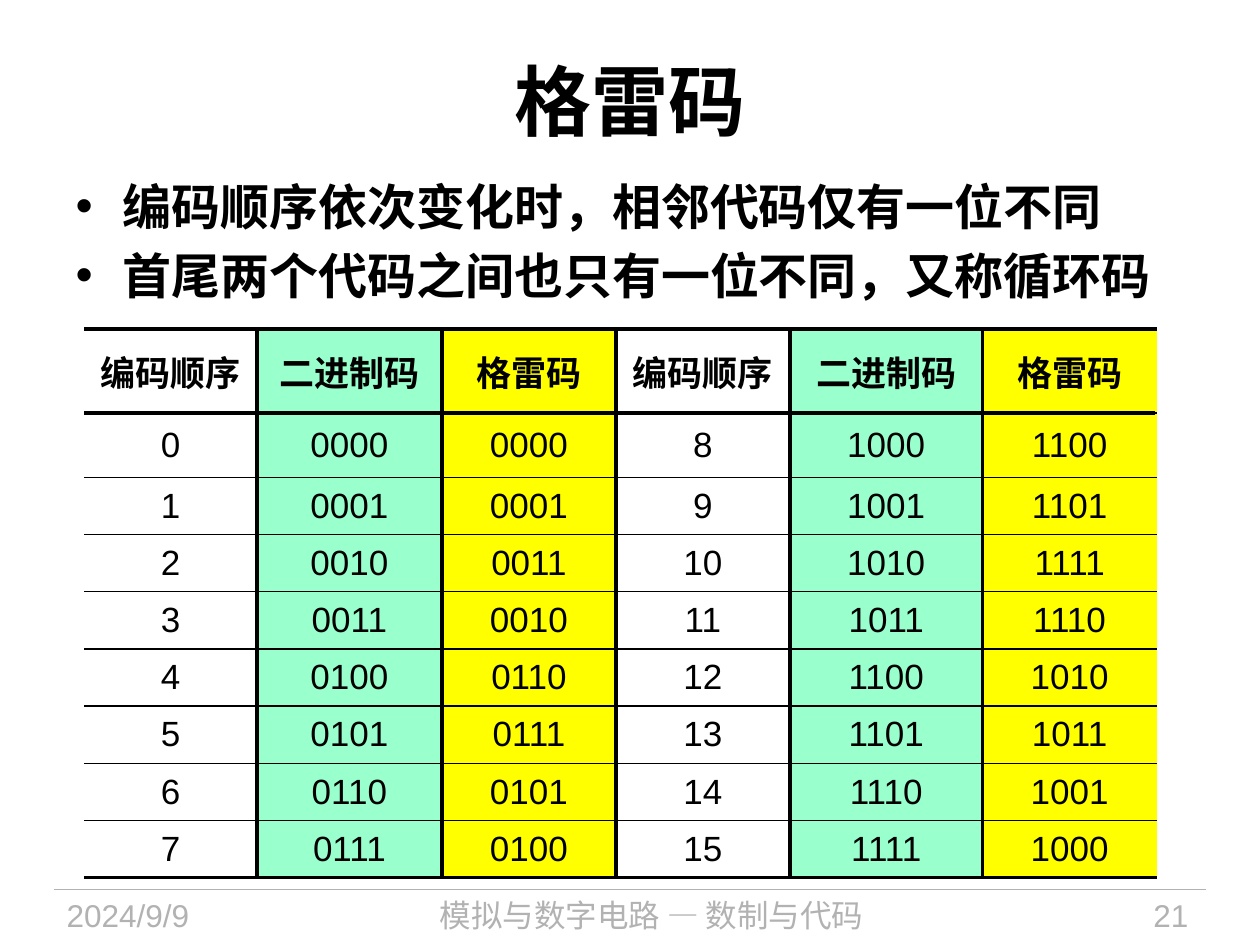
from lxml.etree import SubElement
from pptx import Presentation
from pptx.dml.color import RGBColor
from pptx.enum.shapes import MSO_CONNECTOR
from pptx.enum.text import MSO_ANCHOR, MSO_AUTO_SIZE, PP_ALIGN
from pptx.oxml import parse_xml
from pptx.oxml.ns import nsdecls, qn
from pptx.util import Pt

HUES = {"ink": "000000", "gray": "B2B2B2", "mint": "99FFCC", "gold": "FFFF00"}


def style(para, size, hue="ink", bold=False, align=None):
    para.alignment = align
    font = para.font
    font.name, font.size, font.bold = "Arial", Pt(size), bold
    font.color.rgb = RGBColor.from_string(HUES[hue])


def rule(left, right, top, hue, width):
    line = slide.shapes.add_connector(
        MSO_CONNECTOR.STRAIGHT, Pt(left), Pt(top), Pt(right), Pt(top))
    line.line.color.rgb = RGBColor.from_string(HUES[hue])
    line.line.width = Pt(width)
    SubElement(line._element.spPr, qn("a:effectLst"))


deck = Presentation()
deck.slide_width, deck.slide_height = Pt(720), Pt(540)
slide = deck.slides.add_slide(deck.slide_layouts[1])

rule(31, 689, 508.3, "gray", 0.75)
footer = [
    (31, 135.4, "2024/9/9", PP_ALIGN.LEFT),
    (179.3, 385.9, "模拟与数字电路 — 数制与代码", PP_ALIGN.CENTER),
    (590.4, 95.8, "21", PP_ALIGN.RIGHT),
]
for left, width, text, align in footer:
    frame = slide.shapes.add_textbox(Pt(left), Pt(508.3), Pt(width), Pt(31.7)).text_frame
    frame.word_wrap = True
    frame.text = text
    style(frame.paragraphs[0], 18, "gray", align=align)

title = slide.shapes.title
title.left, title.top, title.width, title.height = Pt(36), Pt(12.2), Pt(648), Pt(90)
title.text_frame.text = "格雷码"
title.text_frame.vertical_anchor = MSO_ANCHOR.MIDDLE
style(title.text_frame.paragraphs[0], 44, bold=True, align=PP_ALIGN.CENTER)

body = slide.placeholders[1]
body.left, body.top, body.width, body.height = Pt(36), Pt(97.2), Pt(641.5), Pt(96.5)
frame = body.text_frame
frame.text = "编码顺序依次变化时，相邻代码仅有一位不同\n首尾两个代码之间也只有一位不同，又称循环码"
frame.auto_size = MSO_AUTO_SIZE.NONE
for para in frame.paragraphs:
    props = para._p.get_or_add_pPr()
    props.set("marL", str(Pt(27)))
    props.set("indent", str(Pt(-27)))
    SubElement(props, qn("a:buChar"), char="•")
    para.space_before, para.space_after = Pt(0), Pt(5.6)
    style(para, 28, bold=True)

rows = [["编码顺序", "二进制码", "格雷码"] * 2]
for low in range(8):
    rows.append([text for n in (low, low + 8)
                 for text in (str(n), f"{n:04b}", f"{n ^ n >> 1:04b}")])
widths = [98.6, 105.8, 99.4, 99.4, 110.2, 99.4]
heights = [48.2, 36.7] + [32.7] * 7
last, end = len(rows) - 1, len(widths) - 1

table = slide.shapes.add_table(
    len(rows), len(widths), Pt(48.2), Pt(187.9), Pt(sum(widths)), Pt(sum(heights))).table
table.first_row = table.horz_banding = False
for col, width in zip(table.columns, widths):
    col.width = Pt(width)
for row, height in zip(table.rows, heights):
    row.height = Pt(height)

for r, texts in enumerate(rows):
    for c, text in enumerate(texts):
        cell = table.cell(r, c)
        cell.text = text
        cell.vertical_anchor = MSO_ANCHOR.MIDDLE
        style(cell.text_frame.paragraphs[0], 20, bold=r == 0, align=PP_ALIGN.CENTER)
        hue = (None, "mint", "gold")[c % 3]
        if hue:
            cell.fill.solid()
            cell.fill.fore_color.rgb = RGBColor.from_string(HUES[hue])
        else:
            cell.fill.background()
        sides = {
            "L": 2.25 if c else 0,
            "R": 2.25 if c < end else 0,
            "T": 1 if r else 2.25,
            "B": 1 if r < last else 2.25,
        }
        for spot, (side, width) in enumerate(sides.items()):
            paint = f'<a:solidFill><a:srgbClr val="{HUES["ink"]}"/></a:solidFill>'
            edge = parse_xml(
                f'<a:ln{side} {nsdecls("a")} w="{Pt(width)}">'
                f'{paint if width else "<a:noFill/>"}</a:ln{side}>')
            cell._tc.get_or_add_tcPr().insert(spot, edge)

rule(48.2, 660.2, 236.2, "ink", 2.25)

deck.save("out.pptx")
